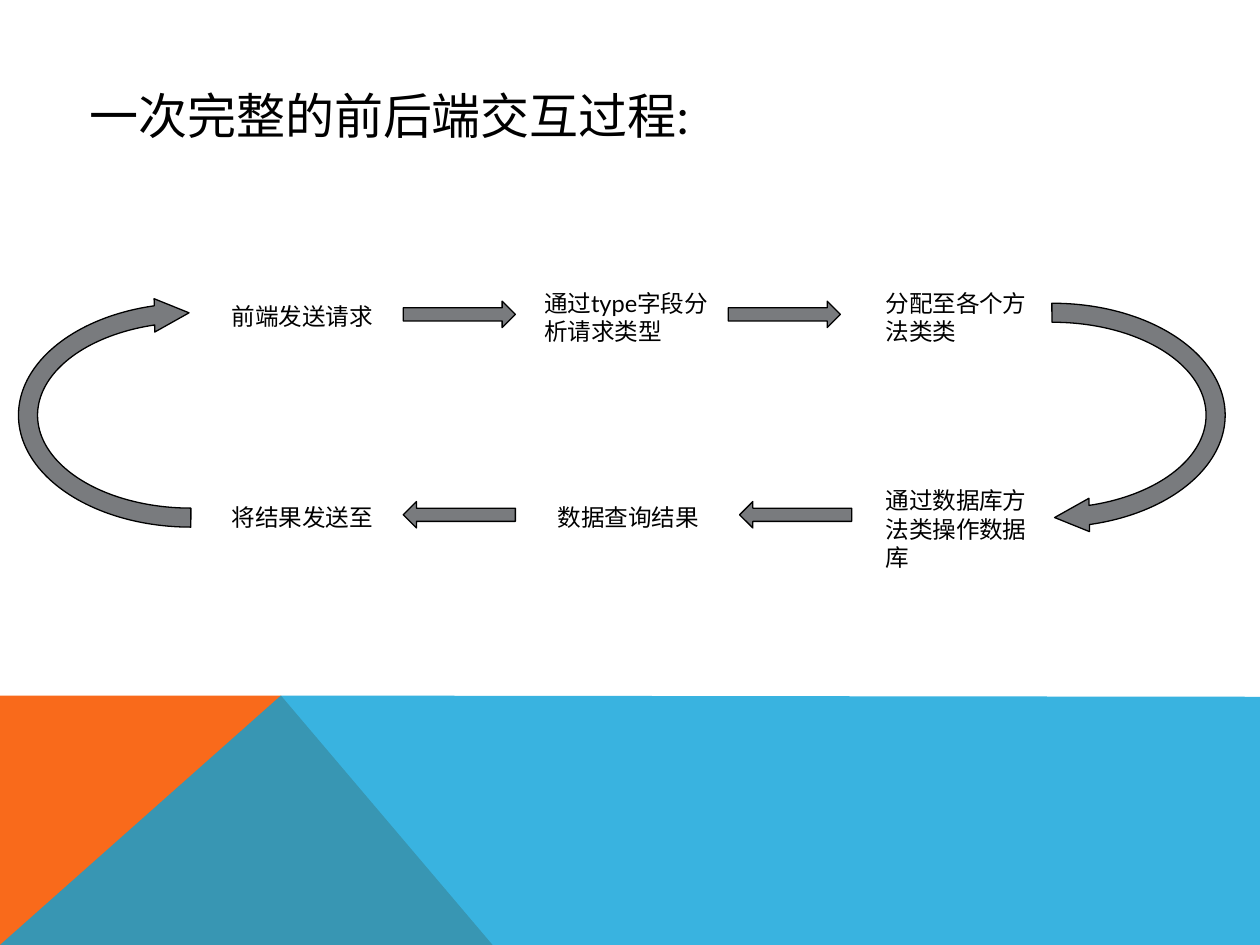
from lxml.etree import SubElement
from pptx import Presentation
from pptx.dml.color import RGBColor
from pptx.enum.shapes import MSO_SHAPE
from pptx.enum.text import MSO_ANCHOR, MSO_AUTO_SIZE, PP_ALIGN
from pptx.oxml.ns import qn
from pptx.util import Inches, Pt

FONT = "Lato"
BLACK, GRAY, ORANGE, BLUE = "000000", "797B7E", "F96A1B", "08A1D9"


def color(code):
    return RGBColor.from_string(code)


def box(left, top, width, height):
    return [Inches(v) for v in (left, top, width, height)]


def paint(shape, code):
    shape.shadow.inherit = False
    shape.fill.solid()
    shape.fill.fore_color.rgb = color(code)


def add_band(slide, points, code, alpha=None):
    """Flat polygon at the foot of the slide."""
    spots = [(Inches(x), Inches(y)) for x, y in points]
    pen = slide.shapes.build_freeform(*spots[0])
    pen.add_line_segments(spots[1:], close=True)
    band = pen.convert_to_shape()
    paint(band, code)
    band.line.fill.background()
    if alpha:
        tint = band.fill._xPr.find(qn("a:solidFill"))[0]
        SubElement(tint, qn("a:alpha"), val=str(alpha * 1000))


def write(shape, text, size):
    frame = shape.text_frame
    style = {
        "word_wrap": True,
        "auto_size": MSO_AUTO_SIZE.SHAPE_TO_FIT_TEXT,
        "vertical_anchor": MSO_ANCHOR.TOP,
    }
    for name, value in style.items():
        setattr(frame, name, value)
    frame.text = text
    line = frame.paragraphs[0]
    line.alignment = PP_ALIGN.LEFT
    font = line.runs[0].font
    for name, value in {"name": FONT, "size": Pt(size)}.items():
        setattr(font, name, value)
    font.color.rgb = color(BLACK)


def add_title(slide, text):
    title = slide.shapes.title
    spot = box(0.61, 0.63, 7.2, 0.57)
    for name, value in zip(("left", "top", "width", "height"), spot):
        setattr(title, name, value)
    write(title, text, 28)


def add_step(slide, text, left, top, width=1.33, height=0.33):
    write(slide.shapes.add_textbox(*box(left, top, width, height)), text, 13.5)


def add_arrow(slide, kind, spot, turn=0, adjust=()):
    arrow = slide.shapes.add_shape(kind, *box(*spot))
    arrow.rotation = turn
    for i, value in enumerate(adjust):
        arrow.adjustments[i] = value
    paint(arrow, GRAY)
    arrow.line.color.rgb = color(BLACK)
    arrow.line.width = Pt(0.75)


def main():
    deck = Presentation()
    deck.slide_width, deck.slide_height = Inches(10), Inches(7.5)
    slide = deck.slides.add_slide(deck.slide_layouts[5])

    # Coloured foot
    add_band(slide, [(0, 7.5), (0, 5.52), (2.23, 5.52), (3.91, 7.5)], ORANGE)
    add_band(slide, [(0, 7.5), (2.23, 5.52), (10, 5.53), (10, 7.5)], BLUE, 80)

    add_title(slide, "一次完整的前后端交互过程:")

    # Steps, clockwise from top left
    add_step(slide, "前端发送请求", 1.74, 2.35)
    add_step(slide, "通过type字段分析请求类型", 4.22, 2.24, 1.57, 0.55)
    add_step(slide, "分配至各个方法类类", 6.93, 2.24, height=0.55)
    add_step(slide, "通过数据库方法类操作数据库", 6.93, 3.81, height=0.78)
    add_step(slide, "数据查询结果", 4.33, 3.94)
    add_step(slide, "将结果发送至", 1.74, 3.94)

    # Straight arrows: right along the top, left along the bottom
    for top, turn, lefts in ((2.39, 0, (3.2, 5.78)), (3.98, 180, (5.87, 3.2))):
        for left in lefts:
            add_arrow(slide, MSO_SHAPE.RIGHT_ARROW, (left, top, 0.89, 0.21), turn)

    # Curved arrows joining the two rows
    for left, turn, start in ((7.41, 90, 107.72), (0.57, 270, 108.01)):
        add_arrow(slide, MSO_SHAPE.CIRCULAR_ARROW, (left, 1.87, 1.89, 2.85),
                  turn, (0.08, 11.42, 203.96, start, 0.07))

    deck.save("out.pptx")


if __name__ == "__main__":
    main()
